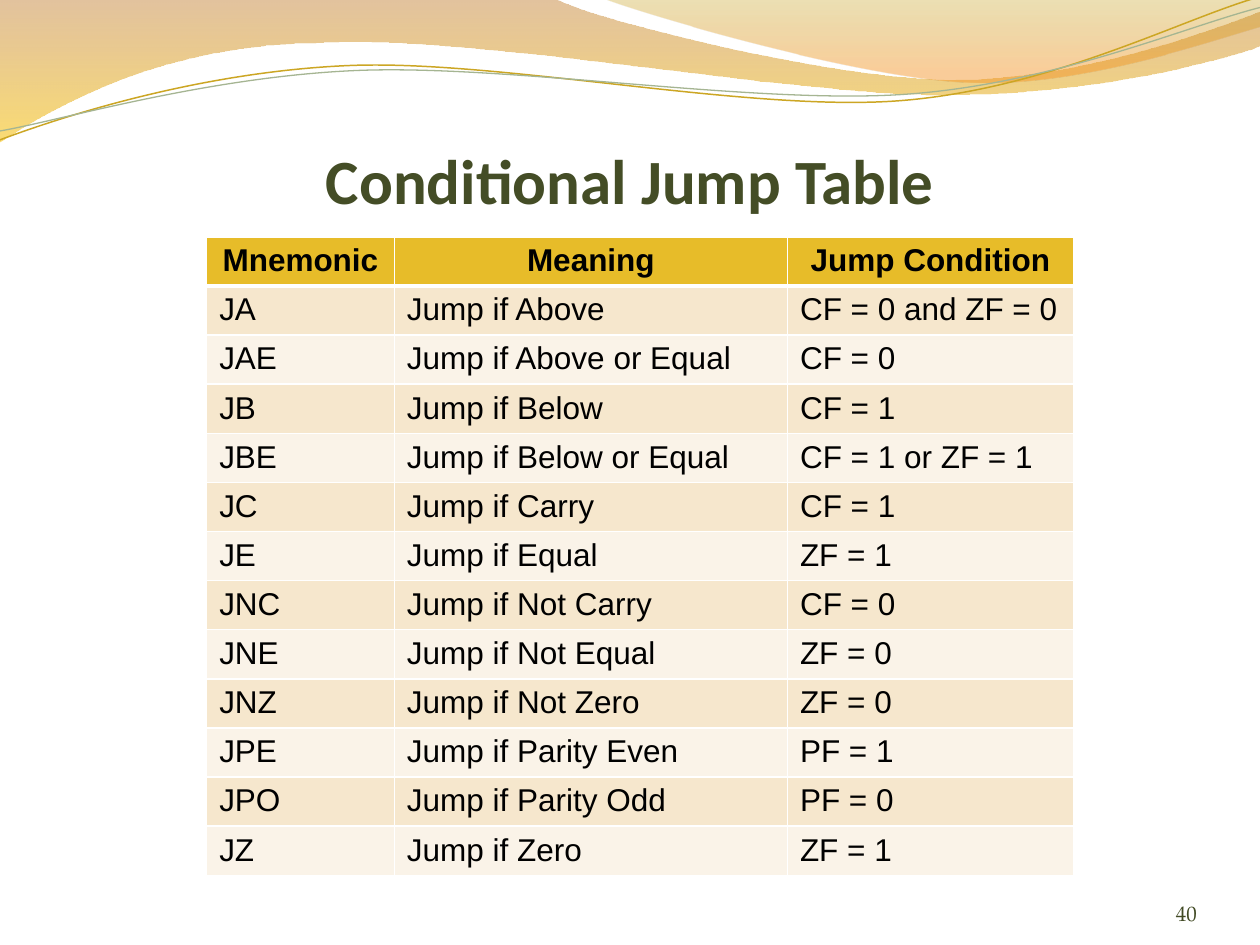
import math
from dataclasses import dataclass

from lxml import etree
from pptx import Presentation
from pptx import util as u
from pptx.dml import color
from pptx.enum import text
from pptx.oxml import ns

COLORS = {
    "brown": "C07A28", "yellow": "F7BF00", "olive": "C09709", "orange": "F59320",
    "gold": "CCA624", "sage": "A5B592", "title": "444D26", "number": "414A24",
    "header": "E7BC29", "odd": "F6E7CD", "even": "FAF3E8",
    "white": "FFFFFF", "black": "000000",
}
Point = tuple[float, float]


@dataclass
class Stop:
    position: float
    color: str
    opacity: int


@dataclass
class Wave:
    start: Point
    segments: list[tuple[Point, ...]]
    stops: tuple[Stop, ...] = ()
    line: str = ""
    width: float = 0
    center: Point = (0, 0)
    tilt: float = 0


WAVES = [
    Wave((0, -0.01), [
        ((4.4, -0.01),),
        ((4.76, 0.17), (6.64, 0.63), (7.58, 0.63)),
        ((8.53, 0.63), (9.58, 0.26), (10, 0.09)),
        ((10.01, 0.36),),
        ((9.83, 0.44), (8.7, 0.76), (7.46, 0.75)),
        ((6.22, 0.75), (3.82, 0.28), (2.57, 0.34)),
        ((1.29, 0.35), (0.46, 0.83), (-0.01, 1.13)),
    ], stops=(Stop(0, "brown", 45), Stop(1, "yellow", 55))),
    Wave((4.79, -0.01), [
        ((5.09, 0.11), (6.82, 0.62), (7.69, 0.65)),
        ((8.56, 0.69), (9.61, 0.32), (10, 0.21)),
        ((10, 0),),
    ], stops=(Stop(0, "olive", 30), Stop(0.8, "orange", 45))),
    Wave((0, 1.11), [
        ((0.48, 0.93), (1.58, 0.57), (2.77, 0.52)),
        ((3.95, 0.47), (5.93, 0.89), (7.13, 0.8)),
        ((8.33, 0.71), (9.38, 0.15), (9.98, -0.02)),
    ], line="gold", width=0.85, center=(4.99, 0.58), tilt=-2.7),
    Wave((0, 1.04), [
        ((0.47, 0.96), (1.64, 0.61), (2.83, 0.56)),
        ((4.03, 0.51), (5.97, 0.83), (7.17, 0.75)),
        ((8.36, 0.67), (9.41, 0.21), (10, 0.06)),
    ], line="sage", width=0.75, center=(5, 0.59), tilt=-2.7),
]

JUMPS = [
    ("Mnemonic", "Meaning", "Jump Condition"),
    ("JA", "Jump if Above", "CF = 0 and ZF = 0"),
    ("JAE", "Jump if Above or Equal", "CF = 0"),
    ("JB", "Jump if Below", "CF = 1"),
    ("JBE", "Jump if Below or Equal", "CF = 1 or ZF = 1"),
    ("JC", "Jump if Carry", "CF = 1"),
    ("JE", "Jump if Equal", "ZF = 1"),
    ("JNC", "Jump if Not Carry", "CF = 0"),
    ("JNE", "Jump if Not Equal", "ZF = 0"),
    ("JNZ", "Jump if Not Zero", "ZF = 0"),
    ("JPE", "Jump if Parity Even", "PF = 1"),
    ("JPO", "Jump if Parity Odd", "PF = 0"),
    ("JZ", "Jump if Zero", "ZF = 1"),
]
COLUMN_WIDTHS = (1.49, 3.12, 2.27)
ROW_HEIGHT = 0.39


def rgb(name: str) -> color.RGBColor:
    return color.RGBColor.from_string(COLORS[name])


def level(point: Point, wave: Wave) -> Point:
    angle = math.radians(-wave.tilt)
    dx, dy = point[0] - wave.center[0], point[1] - wave.center[1]
    return (u.Inches(wave.center[0] + dx * math.cos(angle) - dy * math.sin(angle)),
            u.Inches(wave.center[1] + dx * math.sin(angle) + dy * math.cos(angle)))


def bend(shape, segments: list[tuple[Point, ...]]) -> None:
    corners = iter(list(shape._element.spPr.iter(ns.qn("a:lnTo"))))
    for segment in segments:
        first, *others = [next(corners) for _ in segment]
        if others:
            first.tag = ns.qn("a:cubicBezTo")
        for other in others:
            first.append(other[0])
            other.getparent().remove(other)


def draw_wave(page, wave: Wave) -> None:
    builder = page.shapes.build_freeform(*level(wave.start, wave))
    builder.add_line_segments(
        [level(point, wave) for segment in wave.segments for point in segment],
        close=bool(wave.stops))
    shape = builder.convert_to_shape()
    bend(shape, wave.segments)
    shape.rotation = wave.tilt
    shape.shadow.inherit = False
    if not wave.stops:
        shape.fill.background()
        shape.line.color.rgb = rgb(wave.line)
        shape.line.width = u.Pt(wave.width)
        return
    shape.line.fill.background()
    shape.fill.gradient()
    shape.fill.gradient_angle = 270
    for target, stop in zip(shape.fill.gradient_stops, wave.stops):
        target.position = stop.position
        target.color.rgb = rgb(stop.color)
    for tint, stop in zip(shape._element.spPr.iter(ns.qn("a:srgbClr")), wave.stops):
        etree.SubElement(tint, ns.qn("a:alpha"), val=str(stop.opacity * 1000))


def write(frame, words: str, font: str, size: float, tint: str, bold: bool, align) -> None:
    para = frame.paragraphs[0]
    para.alignment = align
    span = para.add_run()
    span.text = words
    span.font.name = font
    span.font.size = u.Pt(size)
    span.font.bold = bold
    span.font.color.rgb = rgb(tint)


def place(box, left: float, top: float, width: float, height: float, inset: float) -> None:
    box.left, box.top = u.Inches(left), u.Inches(top)
    box.width, box.height = u.Inches(width), u.Inches(height)
    frame = box.text_frame
    frame.margin_left = frame.margin_right = frame.margin_bottom = 0
    frame.margin_top = u.Inches(inset)
    frame.vertical_anchor = text.MSO_ANCHOR.BOTTOM
    frame.auto_size = text.MSO_AUTO_SIZE.NONE
    frame.word_wrap = True


def add_borders(cell, row: int) -> None:
    widths = {"L": 1, "R": 1, "T": 3 if row == 1 else 1, "B": 3 if row == 0 else 1}
    properties = cell._tc.get_or_add_tcPr()
    for side, width in widths.items():
        line = etree.SubElement(properties, ns.qn(f"a:ln{side}"), w=str(u.Pt(width)))
        fill = etree.SubElement(line, ns.qn("a:solidFill"))
        etree.SubElement(fill, ns.qn("a:srgbClr"), val=COLORS["white"])


def draw_table(page) -> None:
    holder = page.shapes.add_table(
        len(JUMPS), len(COLUMN_WIDTHS), u.Inches(1.64), u.Inches(1.88),
        u.Inches(sum(COLUMN_WIDTHS)), u.Inches(5.2))
    table = holder.table
    for column, width in zip(table.columns, COLUMN_WIDTHS):
        column.width = u.Inches(width)
    for i, jump in enumerate(JUMPS):
        table.rows[i].height = u.Inches(ROW_HEIGHT)
        header = i == 0
        shade = "header" if header else "odd" if i % 2 else "even"
        align = text.PP_ALIGN.CENTER if header else text.PP_ALIGN.LEFT
        for j, words in enumerate(jump):
            cell = table.cell(i, j)
            add_borders(cell, i)
            cell.fill.solid()
            cell.fill.fore_color.rgb = rgb(shade)
            write(cell.text_frame, words, "Arial", 18, "black", header, align)
    holder.height = u.Inches(5.2)


def main() -> None:
    deck = Presentation()
    deck.slide_width, deck.slide_height = u.Inches(10), u.Inches(7.5)
    page = deck.slides.add_slide(deck.slide_layouts[5])
    for wave in WAVES:
        draw_wave(page, wave)
    title = page.shapes.title
    page.shapes._spTree.append(title._element)
    place(title, 0.5, 0.77, 9, 0.95, 0.05)
    write(title.text_frame, "Conditional Jump Table", "Calibri", 36, "title", True,
          text.PP_ALIGN.CENTER)
    draw_table(page)
    number = page.shapes.add_textbox(0, 0, 0, 0)
    place(number, 8.67, 6.95, 0.83, 0.4, 0)
    write(number.text_frame, "40", "TeX Gyre Pagella", 12, "number", False,
          text.PP_ALIGN.RIGHT)
    deck.save("out.pptx")


if __name__ == "__main__":
    main()
